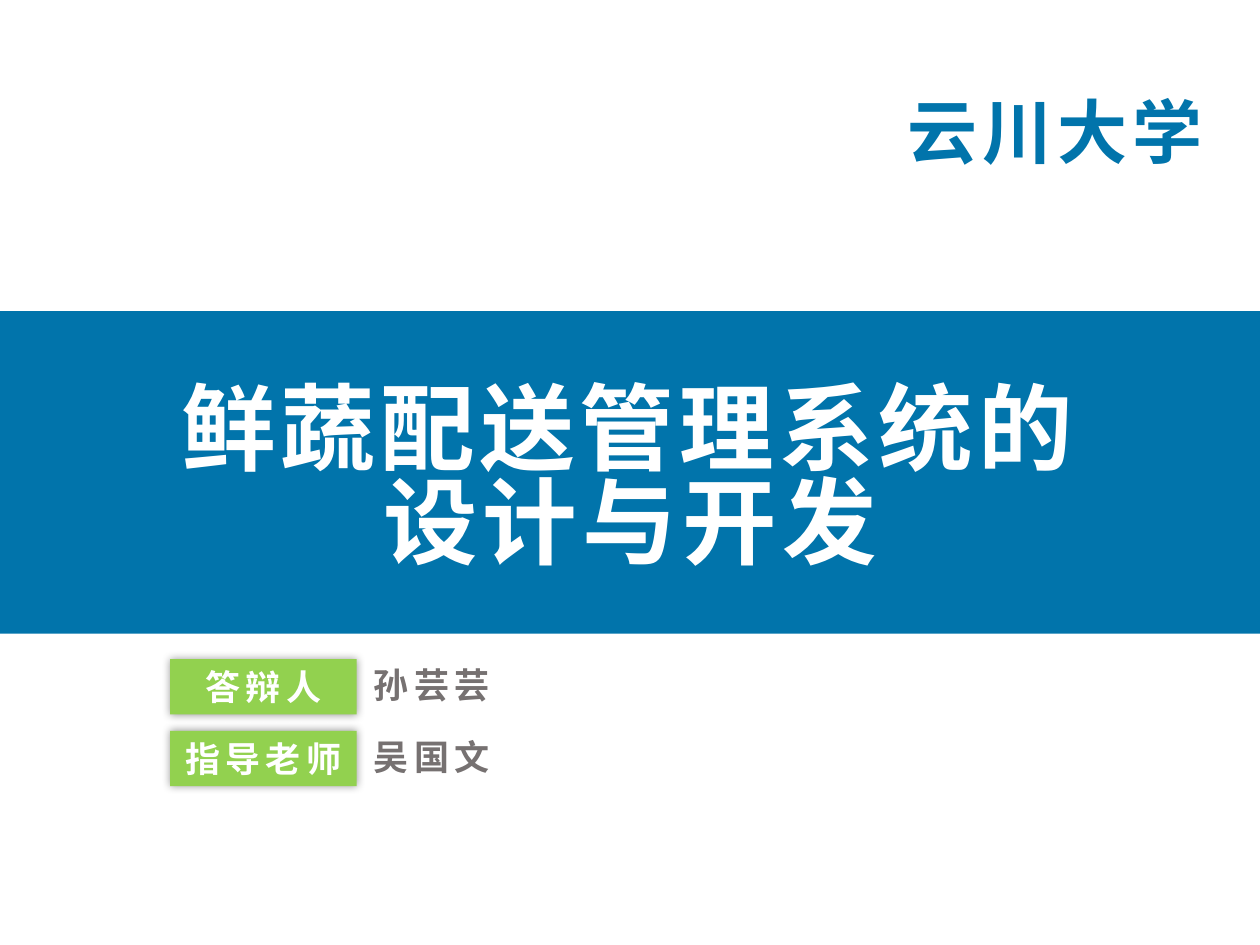
from lxml.etree import SubElement
from pptx import Presentation
from pptx.dml.color import RGBColor
from pptx.enum.shapes import MSO_SHAPE
from pptx.enum.text import MSO_ANCHOR, MSO_AUTO_SIZE, PP_ALIGN
from pptx.oxml.ns import qn
from pptx.util import Pt

COLORS = {
    "blue": "0174AB",
    "green": "92D14F",
    "gray": "767171",
    "white": "FFFFFF",
    "black": "000000",
}
FONT = "Noto Sans CJK SC"
LINE_SPACING = 0.83
INSET = 3.6
ASCENT_SHIFT = 0.09


def color(name):
    return RGBColor.from_string(COLORS[name])


def write_text(shape, text, size=20, fill="white", font=FONT,
               align=PP_ALIGN.LEFT, anchor=MSO_ANCHOR.TOP, wrap=True):
    frame = shape.text_frame
    frame.auto_size = MSO_AUTO_SIZE.NONE
    frame.word_wrap = wrap
    frame.vertical_anchor = anchor
    para = frame.paragraphs[0]
    para.alignment = align
    if anchor == MSO_ANCHOR.TOP:
        para.line_spacing = LINE_SPACING
        frame.margin_top = Pt(round(INSET + ASCENT_SHIFT * size, 2))
    span = para.add_run()
    span.text = text
    span.font.size = Pt(size)
    span.font.bold = True
    span.font.name = font
    span.font.color.rgb = color(fill)
    properties = span.font._element
    properties.set("spc", "300")
    properties.find(qn("a:latin")).addnext(
        properties.makeelement(qn("a:ea"), {"typeface": font}))


def add_rectangle(page, box, fill):
    shape = page.shapes.add_shape(MSO_SHAPE.RECTANGLE, *map(Pt, box))
    shape.shadow.inherit = False
    shape.fill.solid()
    shape.fill.fore_color.rgb = color(fill)
    shape.line.fill.background()
    return shape


def add_glow_shadow(shape):
    effects = shape.element.spPr.find(qn("a:effectLst"))
    shadow = SubElement(effects, qn("a:outerShdw"),
                        blurRad=str(Pt(5)), dist="0", dir="0", algn="ctr")
    tint = SubElement(shadow, qn("a:srgbClr"), val=COLORS["black"])
    SubElement(tint, qn("a:alpha"), val="40000")


def add_school(page, box):
    school = page.shapes.add_textbox(*map(Pt, box))
    write_text(school, "云川大学", size=40, fill="blue", font="Noto Sans CJK JP")


def add_title_band(page, box):
    left, top, width, height = box
    band = add_rectangle(page, box, "blue")
    title = page.shapes.title
    title.element.addprevious(band.element)
    title.left, title.top = Pt(left + 83.5), Pt(top + 35.3)
    title.width, title.height = Pt(width - 167), Pt(138.2)
    write_text(title, "鲜蔬配送管理系统的设计与开发", size=54, align=PP_ALIGN.CENTER)


def add_people(page, box, people):
    left, top, width, height = box
    label_width, row_height, gap = 106.6, 31.7, 2.8
    pitch = (height - row_height) / (len(people) - 1)
    for index, (role, name) in enumerate(people):
        row_top = round(top + index * pitch, 2)
        label = add_rectangle(page, (left, row_top, label_width, row_height), "green")
        add_glow_shadow(label)
        write_text(label, role, align=PP_ALIGN.CENTER,
                   anchor=MSO_ANCHOR.MIDDLE, wrap=False)
        value_left = left + label_width + gap
        value = page.shapes.add_textbox(
            Pt(value_left), Pt(row_top + 1.4),
            Pt(left + width - value_left), Pt(row_height))
        write_text(value, name, fill="gray")


def main():
    deck = Presentation()
    deck.slide_width, deck.slide_height = Pt(720), Pt(540)
    page = deck.slides.add_slide(deck.slide_layouts[5])
    page.background.fill.solid()
    page.background.fill.fore_color.rgb = color("white")
    add_school(page, (511.2, 51.8, 195.8, 55.4))
    add_title_band(page, (0, 177.8, 720, 184.3))
    add_people(page, (97.2, 376.6, 236.9, 72.7),
               [("答辩人", "孙芸芸"), ("指导老师", "吴国文")])
    deck.save("out.pptx")


if __name__ == "__main__":
    main()
